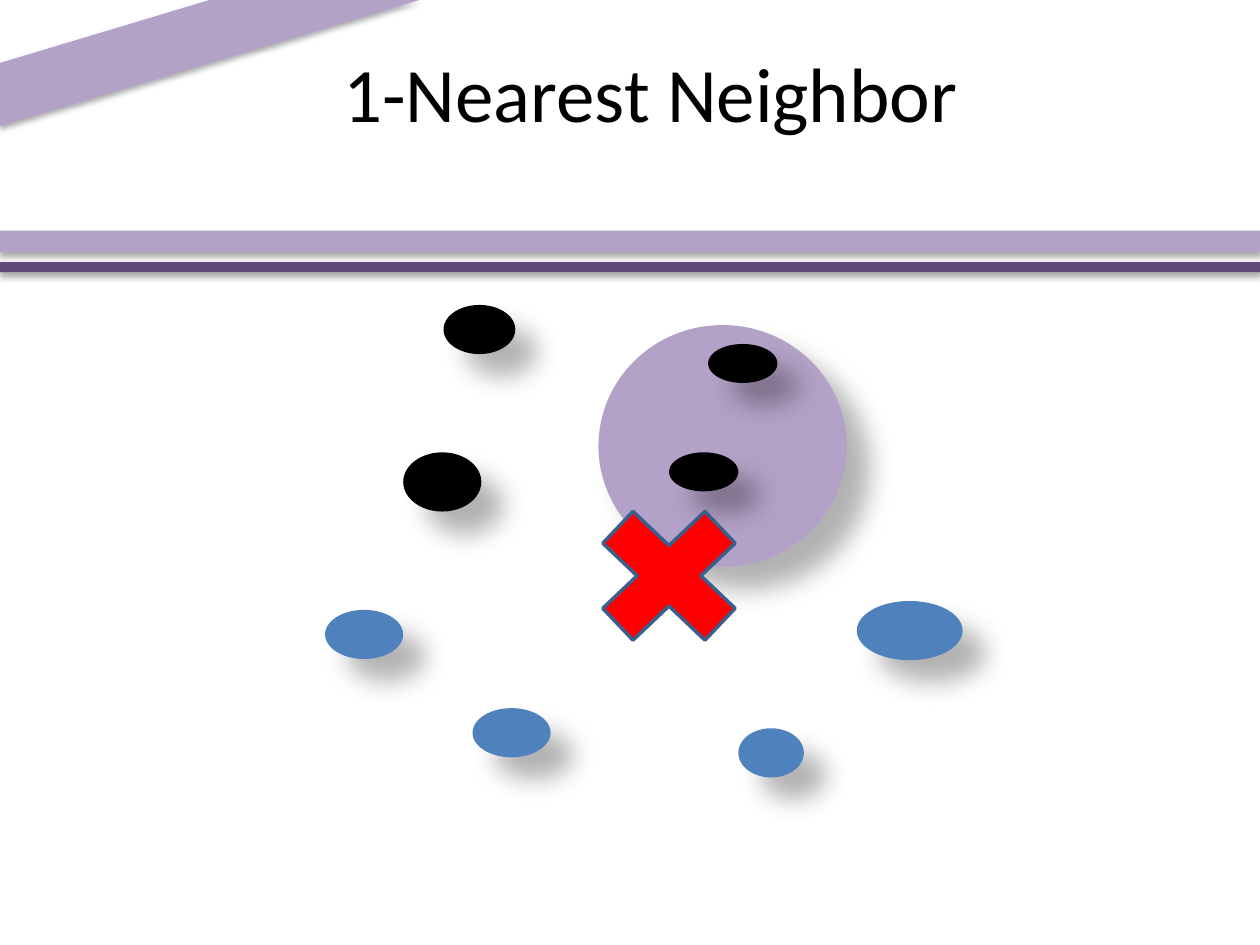
"""Build the 1-Nearest Neighbor slide."""
from dataclasses import dataclass
from typing import Optional

from lxml import etree
from pptx import Presentation
from pptx.dml.color import RGBColor
from pptx.enum import shapes, text
from pptx.oxml.ns import qn
from pptx.util import Inches, Pt

BLACK, BLUE, RED = "000000", "4F81BD", "FF0000"
LILAC, PURPLE, EDGE = "B3A2C7", "604A7B", "3A5F8C"
KIND = shapes.MSO_SHAPE


@dataclass(frozen=True)
class Shadow:
    opacity: int
    blur: float
    distance: float
    angle: int


@dataclass(frozen=True)
class Figure:
    kind: KIND
    left: float
    top: float
    width: float
    height: float
    fill: str
    shadow: Optional[Shadow] = None
    edge: Optional[str] = None


POINT_SHADOW = Shadow(30, 15, 18, 45)
BAND_SHADOW = Shadow(32, 3.5, 2.2, 90)


def point(left: float, top: float, width: float, height: float, fill: str) -> Figure:
    return Figure(KIND.OVAL, left, top, width, height, fill, POINT_SHADOW)


FIGURES = [
    point(3.75, 5.62, 0.62, 0.39, BLUE),
    point(4.75, 2.58, 1.97, 1.92, LILAC),
    point(3.2, 3.59, 0.62, 0.47, BLACK),
    point(6.8, 4.77, 0.84, 0.47, BLUE),
    point(3.52, 2.42, 0.57, 0.39, BLACK),
    point(5.62, 2.73, 0.55, 0.31, BLACK),
    point(2.58, 4.84, 0.62, 0.39, BLUE),
    point(5.86, 5.78, 0.52, 0.39, BLUE),
    point(5.31, 3.59, 0.55, 0.31, BLACK),
    Figure(KIND.MATH_MULTIPLY, 4.53, 3.83, 1.56, 1.48, RED, edge=EDGE),
    Figure(KIND.DIAGONAL_STRIPE, 0, 0, 3.33, 1, LILAC, BAND_SHADOW),
    Figure(KIND.RECTANGLE, 0, 1.83, 10, 0.17, LILAC, BAND_SHADOW),
    Figure(KIND.RECTANGLE, 0, 2.08, 10, 0.08, PURPLE, BAND_SHADOW),
]


def color(value: str) -> RGBColor:
    return RGBColor.from_string(value)


def place(shape, left: float, top: float, width: float, height: float) -> None:
    shape.left, shape.top = Inches(left), Inches(top)
    shape.width, shape.height = Inches(width), Inches(height)


def cast_shadow(shape, shadow: Shadow) -> None:
    effects = shape._element.spPr.find(qn("a:effectLst"))
    outer = etree.SubElement(
        effects, qn("a:outerShdw"), blurRad=str(Pt(shadow.blur)),
        dist=str(Pt(shadow.distance)), dir=str(shadow.angle * 60000),
        algn="ctr", rotWithShape="0")
    tone = etree.SubElement(outer, qn("a:srgbClr"), val=BLACK)
    etree.SubElement(tone, qn("a:alpha"), val=str(shadow.opacity * 1000))


def draw(slide, figure: Figure) -> None:
    shape = slide.shapes.add_shape(
        figure.kind, Inches(figure.left), Inches(figure.top),
        Inches(figure.width), Inches(figure.height))
    shape.fill.solid()
    shape.fill.fore_color.rgb = color(figure.fill)
    if figure.edge:
        shape.line.color.rgb = color(figure.edge)
        shape.line.width = Pt(2)
    else:
        shape.line.fill.background()
    shape.shadow.inherit = False
    if figure.shadow:
        cast_shadow(shape, figure.shadow)


def write_title(slide, wording: str) -> None:
    title = slide.shapes.title
    place(title, 0.7, 0.31, 8.93, 0.83)
    frame = title.text_frame
    frame.text = wording
    frame.vertical_anchor = text.MSO_ANCHOR.MIDDLE
    heading = frame.paragraphs[0]
    heading.alignment = text.PP_ALIGN.CENTER
    heading.font.name = "Calibri"
    heading.font.size = Pt(44)
    heading.font.color.rgb = color(BLACK)


def main() -> None:
    deck = Presentation()
    deck.slide_width, deck.slide_height = Inches(10), Inches(7.5)
    slide = deck.slides.add_slide(deck.slide_layouts[5])
    write_title(slide, "1-Nearest Neighbor")
    for figure in FIGURES:
        draw(slide, figure)
    deck.save("out.pptx")


if __name__ == "__main__":
    main()
